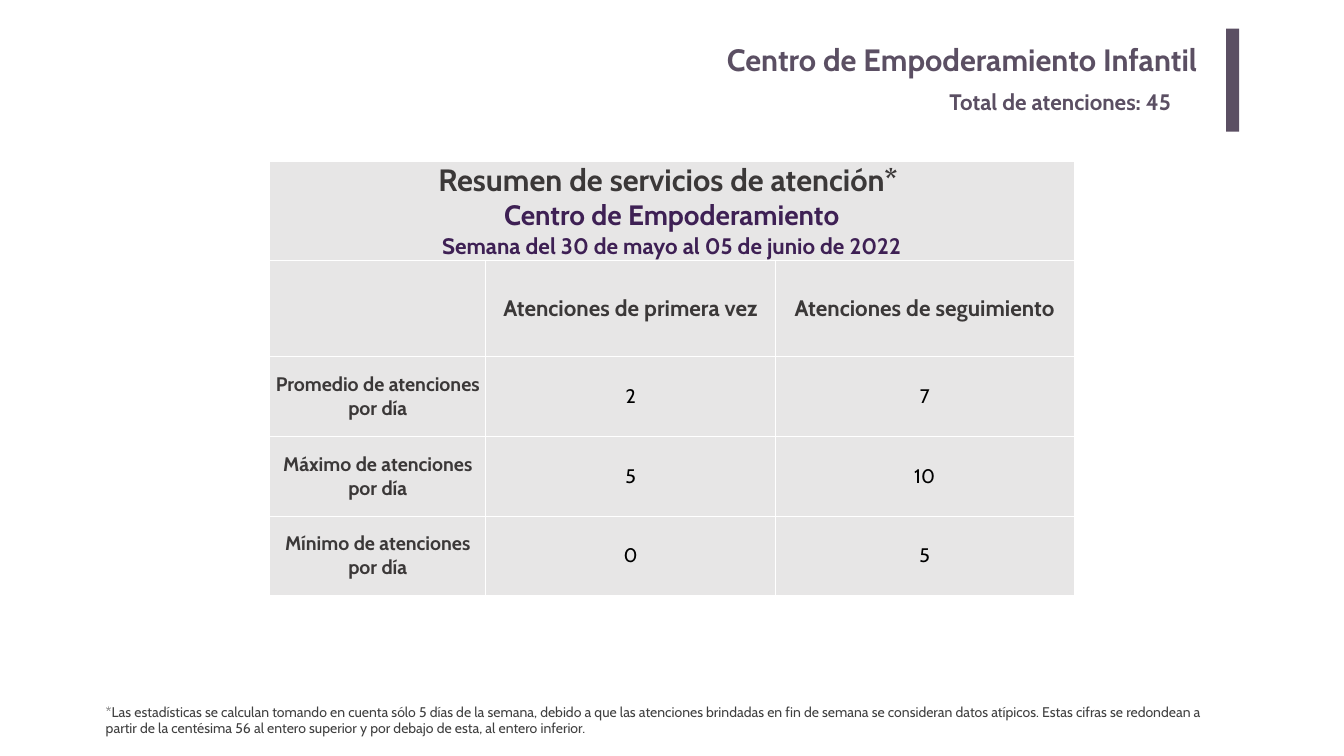
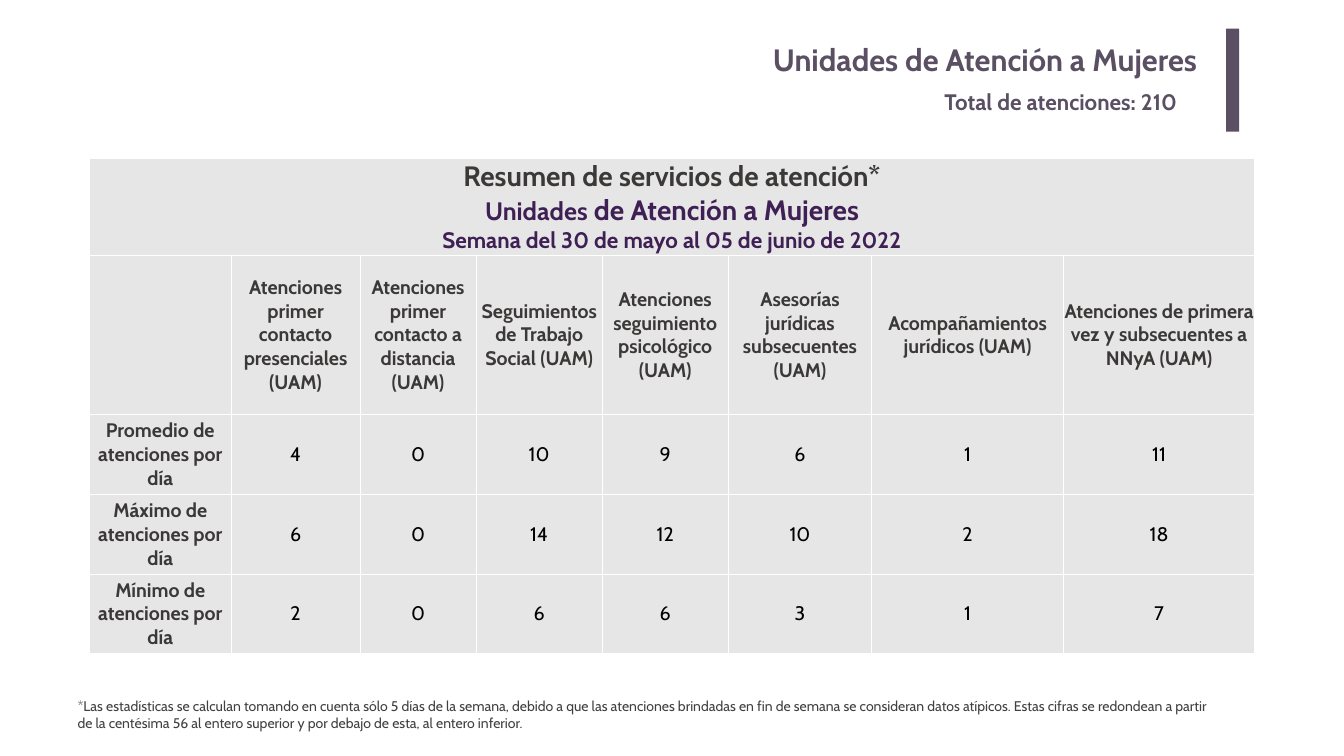
from lxml.etree import SubElement
from pptx import Presentation
from pptx.dml.color import RGBColor
from pptx.enum.shapes import MSO_SHAPE
from pptx.enum.text import MSO_ANCHOR as Anchor, MSO_AUTO_SIZE as AutoSize, PP_ALIGN as Align
from pptx.oxml.ns import qn
from pptx.util import Inches, Pt

FONT = "Cabin"
PURPLE_GRAY = RGBColor(0x5B, 0x4F, 0x63)
PURPLE = RGBColor(0x3E, 0x20, 0x54)
DARK_GRAY = RGBColor(0x3B, 0x38, 0x38)
NOTE_GRAY = RGBColor(0x40, 0x40, 0x40)
CELL_GRAY = RGBColor(0xE7, 0xE6, 0xE6)
BLACK = RGBColor(0, 0, 0)
WHITE = RGBColor(0xFF, 0xFF, 0xFF)

WEEK = "Semana del 30 de mayo al 05 de junio de 2022"
ROW_LABELS = [f"{measure} de atenciones por día" for measure in ("Promedio", "Máximo", "Mínimo")]
FOOTNOTE = (
    "*Las estadísticas se calculan tomando en cuenta sólo 5 días de la semana, "
    "debido a que las atenciones brindadas en fin de semana se consideran datos atípicos. "
    "Estas cifras se redondean a partir de la centésima 56 al entero superior "
    "y por debajo de esta, al entero inferior."
)

CENTERS = [
    {
        "title": "Centro de Empoderamiento Infantil",
        "total": 45,
        "total_box": (18.74, 1.69, 5.28, 0.64),
        "note_box": (2, 13.9, 22.33, 0.77),
        "table_corner": (5.35, 3.2),
        "columns": [4.29, 5.75, 5.92],
        "rows": [1.92, 1.92, 1.58, 1.58, 1.58],
        "heading": [
            [("Resumen de servicios de atención* ", 44, DARK_GRAY)],
            [("Centro de Empoderamiento", 40, PURPLE)],
            [(WEEK, 32, PURPLE)],
        ],
        "header_size": 32,
        "headers": ["Atenciones de primera vez", "Atenciones de seguimiento"],
        "values": [[2, 7], [5, 10], [0, 5]],
    },
    {
        "title": "Unidades de Atención a Mujeres",
        "total": 210,
        "total_box": (18.64, 1.69, 5.38, 0.64),
        "note_box": (1.44, 13.79, 22.77, 0.77),
        "table_corner": (1.77, 3.15),
        "columns": [2.82, 2.55, 2.31, 2.5, 2.5, 2.85, 3.8, 3.8],
        "rows": [1.91, 3.17, 1.58, 1.58, 1.58],
        "heading": [
            [("Resumen de servicios de atención*", 40, DARK_GRAY)],
            [("Unidades", 36, PURPLE), (" de Atención a Mujeres", 40, PURPLE)],
            [(WEEK, 32, PURPLE)],
        ],
        "header_size": 28,
        "headers": [
            "Atenciones primer contacto presenciales (UAM)",
            "Atenciones primer contacto a distancia (UAM)",
            "Seguimientos de Trabajo Social (UAM)",
            "Atenciones seguimiento psicológico (UAM)",
            "Asesorías jurídicas subsecuentes (UAM)",
            "Acompañamientos jurídicos (UAM)",
            "Atenciones de primera vez y subsecuentes a NNyA (UAM)",
        ],
        "values": [
            [4, 0, 10, 9, 6, 1, 11],
            [6, 0, 14, 12, 10, 2, 18],
            [2, 0, 6, 6, 3, 1, 7],
        ],
    },
]


def add_run(paragraph, text, size, color, bold=True):
    run = paragraph.add_run()
    run.text = text
    run.font.name = FONT
    run.font.size = Pt(size)
    run.font.bold = bold
    run.font.color.rgb = color


def style_cell(cell):
    cell.margin_left = cell.margin_right = cell.margin_top = cell.margin_bottom = 0
    cell.vertical_anchor = Anchor.MIDDLE
    properties = cell._tc.get_or_add_tcPr()
    for side in ("a:lnL", "a:lnR", "a:lnT", "a:lnB"):
        border = SubElement(properties, qn(side), w=str(Pt(1)))
        fill = SubElement(border, qn("a:solidFill"))
        SubElement(fill, qn("a:srgbClr"), val=str(WHITE))
    cell.fill.solid()
    cell.fill.fore_color.rgb = CELL_GRAY


presentation = Presentation()
presentation.slide_width = Inches(26.67)
presentation.slide_height = Inches(15)
title_only = presentation.slide_layouts[5]

for center in CENTERS:
    slide = presentation.slides.add_slide(title_only)

    left, top = center["table_corner"]
    columns, rows = center["columns"], center["rows"]
    table = slide.shapes.add_table(
        len(rows), len(columns),
        Inches(left), Inches(top), Inches(sum(columns)), Inches(sum(rows)),
    ).table
    table.first_row = False
    table.horz_banding = False
    for column, width in zip(table.columns, columns):
        column.width = Inches(width)
    for row, height in zip(table.rows, rows):
        row.height = Inches(height)
    for cell in table.iter_cells():
        style_cell(cell)

    heading = table.cell(0, 0)
    heading.merge(table.cell(0, len(columns) - 1))
    for index, line in enumerate(center["heading"]):
        frame = heading.text_frame
        paragraph = frame.add_paragraph() if index else frame.paragraphs[0]
        paragraph.alignment = Align.CENTER
        for text, size, color in line:
            add_run(paragraph, text, size, color)

    entries = [
        (1, column, text, center["header_size"], DARK_GRAY, True)
        for column, text in enumerate(center["headers"], 1)
    ]
    for row, (label, values) in enumerate(zip(ROW_LABELS, center["values"]), 2):
        entries.append((row, 0, label, 28, DARK_GRAY, True))
        for column, value in enumerate(values, 1):
            entries.append((row, column, str(value), 28, BLACK, False))
    for row, column, text, size, color, bold in entries:
        paragraph = table.cell(row, column).text_frame.paragraphs[0]
        paragraph.alignment = Align.CENTER
        add_run(paragraph, text, size, color, bold)

    title = slide.shapes.title
    title.left, title.top = Inches(3.66), Inches(0.67)
    title.width, title.height = Inches(20.3), Inches(1.02)
    frame = title.text_frame
    frame.auto_size = AutoSize.NONE
    frame.vertical_anchor = Anchor.MIDDLE
    frame.margin_left = frame.margin_right = Inches(0.2)
    frame.margin_top = frame.margin_bottom = Inches(0.1)
    frame.paragraphs[0].alignment = Align.RIGHT
    add_run(frame.paragraphs[0], center["title"], 44, PURPLE_GRAY)

    accent_bar = slide.shapes.add_shape(
        MSO_SHAPE.RECTANGLE, Inches(24.33), Inches(0.57), Inches(0.26), Inches(2.04)
    )
    accent_bar.shadow.inherit = False
    accent_bar.fill.solid()
    accent_bar.fill.fore_color.rgb = PURPLE_GRAY
    accent_bar.line.fill.background()

    total = f"Total de atenciones: {center['total']}"
    for box, text, size, color, bold in (
        (center["total_box"], total, 32, PURPLE_GRAY, True),
        (center["note_box"], FOOTNOTE, 20, NOTE_GRAY, False),
    ):
        frame = slide.shapes.add_textbox(*map(Inches, box)).text_frame
        frame.word_wrap = True
        frame.auto_size = AutoSize.SHAPE_TO_FIT_TEXT
        add_run(frame.paragraphs[0], text, size, color, bold)

presentation.save("out.pptx")
